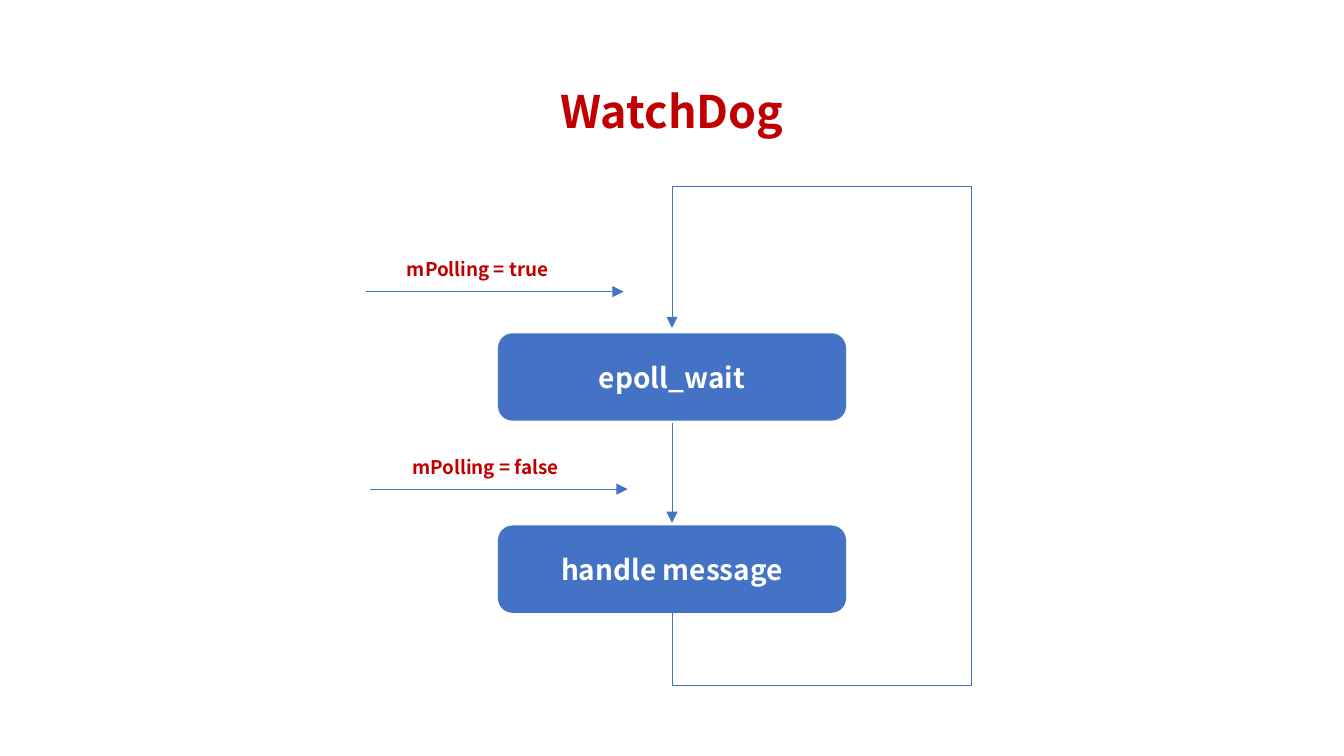
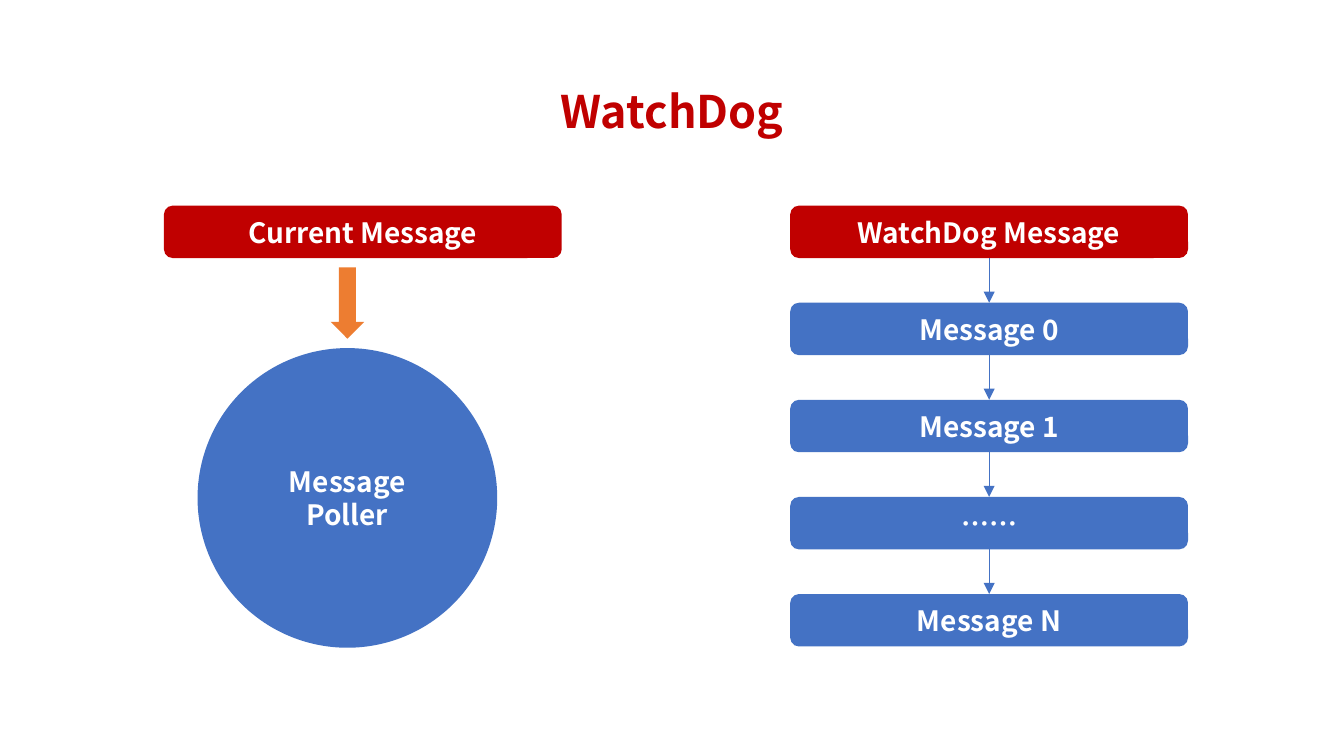
from lxml import etree
from pptx import Presentation
from pptx.dml.color import RGBColor
from pptx.enum import shapes, text
from pptx.oxml import ns
from pptx.util import Inches, Pt

WIDTH = 10
HEIGHT = WIDTH * 9 / 16
CENTER = WIDTH / 2
FONT = "Noto Sans CJK SC"
BLUE, RED, ORANGE, WHITE = "4472C4", "C00000", "ED7D31", "FFFFFF"
TITLE = "WatchDog"

# Polling loop: step boxes, flag labels (text, arrow left, arrow y, label left, label width)
STEPS = ["epoll_wait", "handle message"]
STEP_SIZE, STEP_TOP, STEP_PITCH = (2.59, 0.65), 2.48, 1.43
FLAGS = [
    ("mPolling = true", 2.72, 2.17, 2.93, 1.33),
    ("mPolling = false", 2.75, 3.64, 2.97, 1.37),
]
FLAG_ARROW = 1.92
LOOP_TOP, LOOP_BOTTOM, LOOP_RIGHT = 1.39, 5.1, 7.23

# Message queue: a red head followed by blue entries
QUEUE = ["WatchDog Message", "Message 0", "Message 1", "……", "Message N"]
BAR_SIZE, BAR_TOP, LAST_BAR_TOP = (2.96, 0.39), 1.53, 4.42
BAR_PITCH = (LAST_BAR_TOP - BAR_TOP) / (len(QUEUE) - 1)
QUEUE_LEFT, CURRENT_LEFT = 5.88, 1.22
POLLER_LEFT, POLLER_TOP, POLLER_SIZE = 1.47, 2.59, 2.23
ARROW_SIZE, ARROW_TOP = (0.25, 0.53), 1.99


def rgb(color):
    return RGBColor.from_string(color)


def write(box, words, size, color, align=text.PP_ALIGN.CENTER):
    frame = box.text_frame
    frame.text = words
    para = frame.paragraphs[0]
    para.alignment = align
    for span in para.runs:
        span.font.size, span.font.bold, span.font.name = Pt(size), True, FONT
        span.font.color.rgb = rgb(color)
        east_asian = etree.SubElement(span.font._element, ns.qn("a:ea"))
        east_asian.set("typeface", FONT)
    return para


def add_block(page, kind, left, top, size, fill, words=None):
    block = page.shapes.add_shape(kind, *map(Inches, (left, top, *size)))
    block.shadow.inherit = False
    block.fill.solid()
    block.fill.fore_color.rgb = rgb(fill)
    block.line.fill.background()
    if words:
        block.text_frame.vertical_anchor = text.MSO_ANCHOR.MIDDLE
        write(block, words, 15, WHITE)
    return block


def add_box(page, left, top, size, fill, words):
    return add_block(page, shapes.MSO_SHAPE.ROUNDED_RECTANGLE,
                     left, top, size, fill, words)


def add_line(page, start, end, arrow=False):
    line = page.shapes.add_connector(shapes.MSO_CONNECTOR.STRAIGHT,
                                     *map(Inches, (*start, *end)))
    line.line.color.rgb = rgb(BLUE)
    line.line.width = Pt(0.5)
    if arrow:
        stroke = line.line._get_or_add_ln()
        etree.SubElement(stroke, ns.qn("a:tailEnd")).set("type", "triangle")
    etree.SubElement(line._element.spPr, ns.qn("a:effectLst"))
    return line


def add_page(deck):
    """Add a blank page carrying the shared title."""
    page = deck.slides.add_slide(deck.slide_layouts[6])
    title = page.shapes.add_textbox(*map(Inches, (0.69, 0.3, WIDTH - 2 * 0.69, 1.09)))
    title.text_frame.word_wrap = True
    title.text_frame.vertical_anchor = text.MSO_ANCHOR.MIDDLE
    write(title, TITLE, 24, RED).line_spacing = 0.9
    return page


def build_loop(deck):
    page = add_page(deck)
    width, height = STEP_SIZE
    tops = [STEP_TOP + i * STEP_PITCH for i in range(len(STEPS))]
    boxes = [add_box(page, CENTER - width / 2, top, STEP_SIZE, BLUE, step)
             for step, top in zip(STEPS, tops)]

    for words, left, y, label_left, label_width in FLAGS:
        add_line(page, (left, y), (left + FLAG_ARROW, y), arrow=True)
        label = page.shapes.add_textbox(
            *map(Inches, (label_left, y - 0.3, label_width, 0.27)))
        frame = label.text_frame
        frame.word_wrap = False
        frame.auto_size = text.MSO_AUTO_SIZE.SHAPE_TO_FIT_TEXT
        frame.margin_top = frame.margin_bottom = Inches(0.05)
        write(label, words, 10.1, RED, text.PP_ALIGN.LEFT)

    add_line(page, (CENTER, LOOP_TOP), (CENTER, tops[0] - 0.04), arrow=True)
    add_line(page, (CENTER, tops[0] + height + 0.02),
             (CENTER, tops[1] - 0.02), arrow=True)
    corners = [(CENTER, tops[1] + height), (CENTER, LOOP_BOTTOM),
               (LOOP_RIGHT, LOOP_BOTTOM), (LOOP_RIGHT, LOOP_TOP), (CENTER, LOOP_TOP)]
    sides = [add_line(page, *ends) for ends in zip(corners, corners[1:])]
    sides[0].begin_connect(boxes[-1], 2)


def build_queue(deck):
    page = add_page(deck)
    add_box(page, CURRENT_LEFT, BAR_TOP, BAR_SIZE, RED, "Current Message")
    middle = POLLER_LEFT + POLLER_SIZE / 2
    add_block(page, shapes.MSO_SHAPE.DOWN_ARROW, middle - ARROW_SIZE[0] / 2,
              ARROW_TOP, ARROW_SIZE, ORANGE)
    add_block(page, shapes.MSO_SHAPE.OVAL, POLLER_LEFT, POLLER_TOP,
              (POLLER_SIZE, POLLER_SIZE), BLUE, "Message Poller")

    bars = [add_box(page, QUEUE_LEFT, BAR_TOP + i * BAR_PITCH, BAR_SIZE,
                    BLUE if i else RED, words)
            for i, words in enumerate(QUEUE)]
    for upper, lower in zip(bars, bars[1:]):
        link = add_line(page, (0, 0), (0, 0), arrow=True)
        link.begin_connect(upper, 2)
        link.end_connect(lower, 0)


def main():
    deck = Presentation()
    deck.slide_width, deck.slide_height = Inches(WIDTH), Inches(HEIGHT)
    build_loop(deck)
    build_queue(deck)
    deck.save("out.pptx")


if __name__ == "__main__":
    main()
